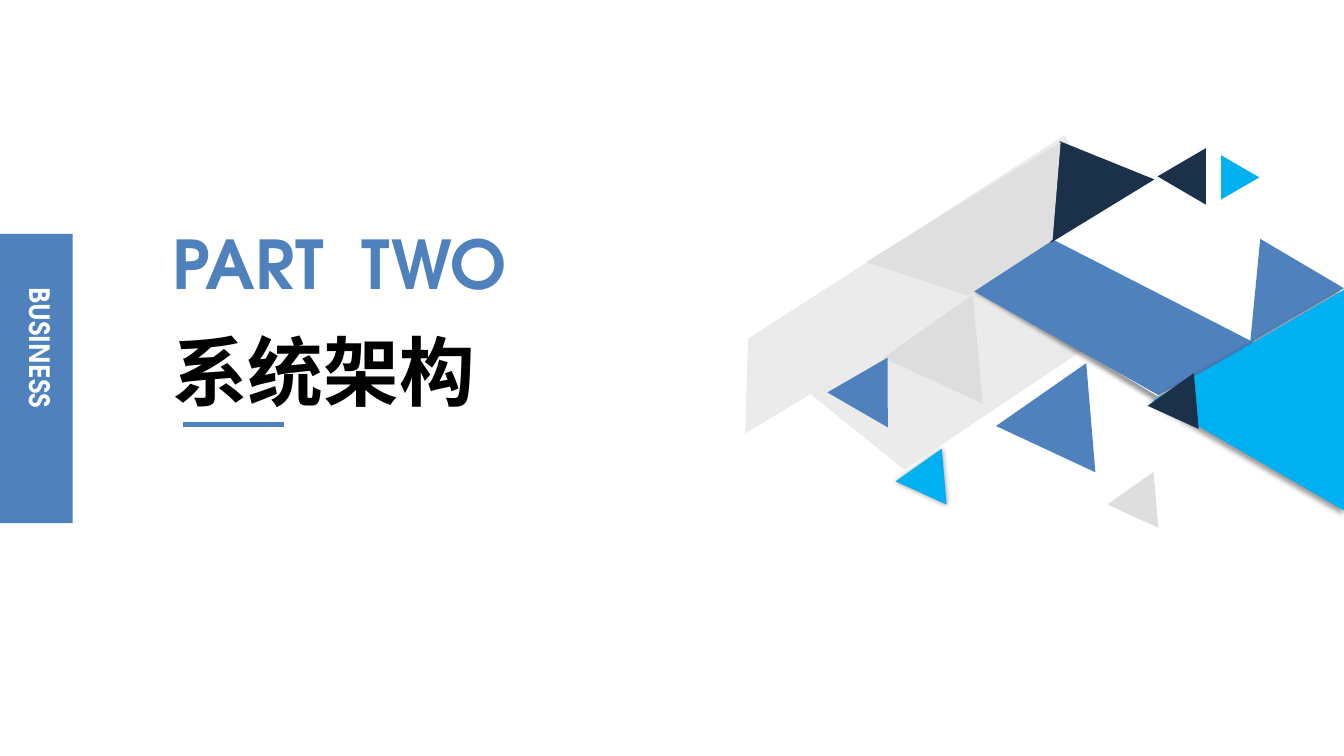
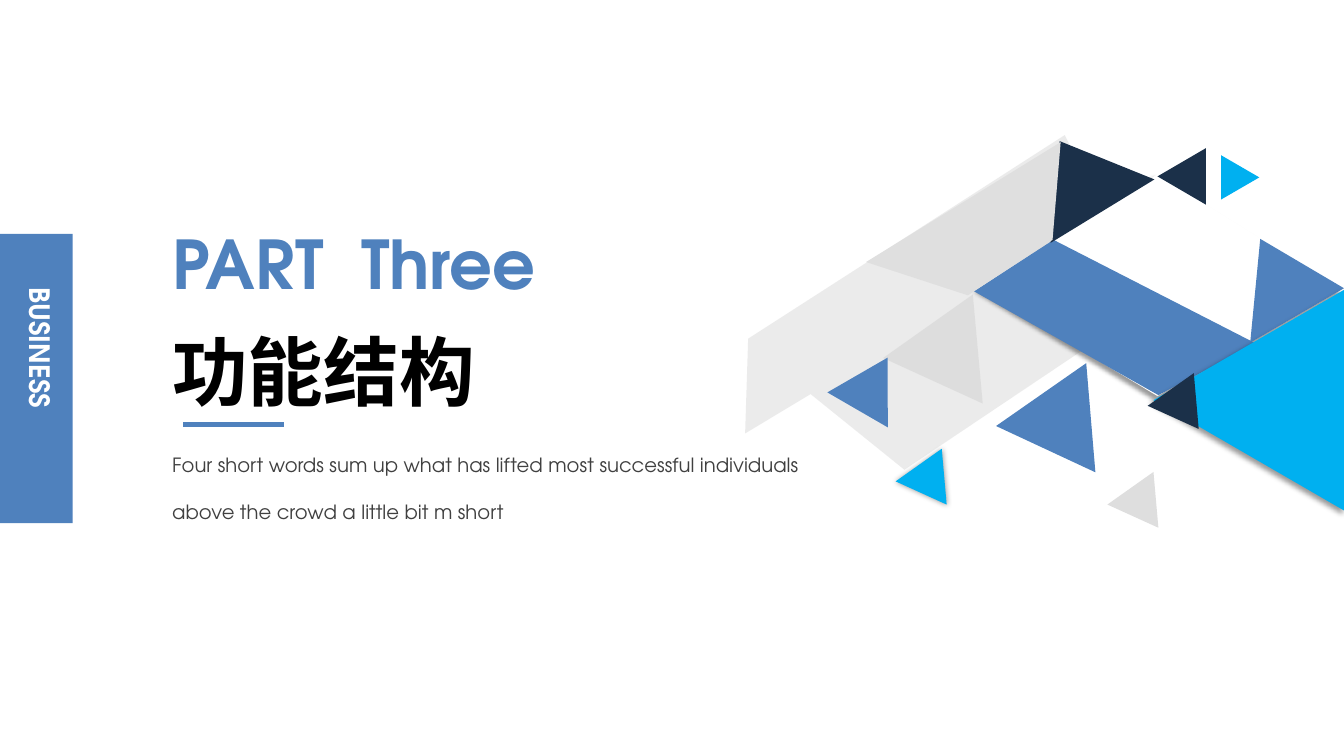
from lxml import etree
from pptx import Presentation
from pptx.dml.color import RGBColor
from pptx.enum.shapes import MSO_CONNECTOR, MSO_SHAPE
from pptx.enum.text import MSO_AUTO_SIZE, PP_ALIGN
from pptx.oxml.ns import qn
from pptx.util import Inches, Pt

RECT, TRIANGLE = MSO_SHAPE.RECTANGLE, MSO_SHAPE.ISOSCELES_TRIANGLE
STRAIGHT = MSO_CONNECTOR.STRAIGHT
GROW = MSO_AUTO_SIZE.SHAPE_TO_FIT_TEXT
JUSTIFY = PP_ALIGN.JUSTIFY

COLORS = {
    "blue": "4F81BD", "sky": "00B0F0", "navy": "1B3049", "white": "FFFFFF",
    "black": "000000", "text": "404040", "pale": "DFDFDF", "gray": "D9D9D9",
    "silver": "DEDEDE",
}
LATIN, HAN = "TeX Gyre Adventor", "Noto Sans CJK SC"

SECTIONS = [
    {"part": "PART  TWO", "title": "系统架构"},
    {"part": "PART  Three", "title": "功能结构",
     "note": "Four short words sum up what has lifted most successful "
             "individuals above the crowd a little bit m short"},
]

# Field: box, font, size, colour, bold, line spacing
FIELDS = {
    "part": ((1.61, 2.16, 4.75, 0.91), LATIN, 48, "blue", True, None),
    "title": ((1.61, 3.17, 4.75, 1.01), HAN, 54, "black", True, None),
    "note": ((1.61, 4.21, 6.57, 0.97), LATIN, 14, "text", False, 2),
}

# Shadows: blur and distance in points, direction in degrees
GLOW, EDGE, DROP = (4, 0, 50), (3, 3, 135), (4, 3, 135)

# Back to front. Polygon: corners. Triangle: box and turn in degrees.
# Both go on with colour, opacity in percent and shadow.
ART = [
    ("poly", [(8.97, 4.66), (8.04, 3.91), (7.39, 4.3), (7.42, 3.36),
              (10.56, 1.34), (11.4, 3.03)], "pale", 60, None),
    ("tri", (8.93, 3.15, 1.09, 0.94), 144.7, "gray", 73, None),
    ("tri", (8.97, 4.57, 0.56, 0.48), 144.7, "sky", 100, GLOW),
    ("tri", (11.07, 4.8, 0.56, 0.48), 144.7, "silver", 100, None),
    ("poly", [(9.7, 2.86), (11.48, 1.73), (13.31, 2.87), (11.48, 3.93)],
     "white", 100, EDGE),
    ("poly", [(11.49, 3.92), (9.66, 2.89), (10.45, 2.38), (12.46, 3.41)],
     "blue", 100, None),
    ("poly", [(12.4, 3.4), (12.5, 2.37), (13.33, 2.86)], "blue", 100, None),
    ("tri", (11.29, 3.02, 2.2, 1.9), 270, "sky", 100, DROP),
    ("tri", (11.47, 3.82, 0.56, 0.48), 144.7, "navy", 100, None),
    ("tri", (11.44, 1.51, 0.56, 0.48), 270, "navy", 100, None),
    ("tri", (12.08, 1.57, 0.44, 0.38), 90, "sky", 100, None),
    ("poly", [(10.42, 2.41), (10.51, 1.4), (11.45, 1.78)], "navy", 100, None),
    ("poly", [(10.52, 1.41), (10.44, 2.38), (9.6, 2.93), (8.59, 2.6)],
     "pale", 100, None),
    ("tri", (10.05, 3.83, 1.09, 0.94), 145.1, "blue", 100, None),
    ("tri", (8.31, 3.68, 0.69, 0.6), 150, "blue", 100, None),
]


def rgb(name):
    return RGBColor.from_string(COLORS[name])


def inches(nums):
    return [Inches(n) for n in nums]


def set_alpha(color, percent):
    etree.SubElement(color, qn("a:alpha"), val=str(percent * 1000))


def add_shadow(shape, blur, dist, angle):
    effects = shape.element.spPr.find(qn("a:effectLst"))
    outer = etree.SubElement(
        effects, qn("a:outerShdw"), blurRad=str(Pt(blur)), dist=str(Pt(dist)),
        dir=str(angle * 60000), algn="ctr", rotWithShape="0")
    color = etree.SubElement(outer, qn("a:srgbClr"), val=COLORS["black"])
    set_alpha(color, 40)


def paint(shape, color, alpha=100, shadow=None):
    shape.fill.solid()
    shape.fill.fore_color.rgb = rgb(color)
    shape.line.fill.background()
    shape.shadow.inherit = False
    if alpha < 100:
        fill = shape.element.spPr.find(qn("a:solidFill"))
        set_alpha(fill[0], alpha)
    if shadow:
        add_shadow(shape, *shadow)


def add_poly(slide, points, *style):
    start, *rest = [inches(point) for point in points]
    path = slide.shapes.build_freeform(*start)
    path.add_line_segments(rest, close=True)
    paint(path.convert_to_shape(), *style)


def add_tri(slide, box, turn, *style):
    shape = slide.shapes.add_shape(TRIANGLE, *inches(box))
    shape.rotation = turn
    paint(shape, *style)


def add_text(slide, text, box, face, size, color, bold, spacing=None):
    frame = slide.shapes.add_textbox(*inches(box)).text_frame
    frame.word_wrap = True
    frame.auto_size = GROW
    para = frame.paragraphs[0]
    para.line_spacing = spacing
    run = para.add_run()
    run.text = text
    font = run.font
    font.name, font.size, font.bold = face, Pt(size), bold
    font.color.rgb = rgb(color)
    props = run._r.get_or_add_rPr()
    etree.SubElement(props, qn("a:ea"), typeface=face)
    return frame


def add_band(slide):
    band = slide.shapes.add_shape(RECT, *inches((0, 2.32, 0.72, 2.87)))
    paint(band, "blue")
    frame = add_text(slide, "BUSINESS", (0.08, 2.75, 0.54, 2.14),
                     LATIN, 20, "white", True)
    frame.paragraphs[0].alignment = JUSTIFY
    frame._txBody.bodyPr.set("vert", "eaVert")


def add_rule(slide):
    """Draw the short line under the title."""
    rule = slide.shapes.add_connector(
        STRAIGHT, *inches((1.82, 4.21, 2.82, 4.21)))
    rule.line.color.rgb = rgb("blue")
    rule.line.width = Pt(3.25)
    etree.SubElement(rule.element.spPr, qn("a:effectLst"))


def add_art(slide):
    draw = {"poly": add_poly, "tri": add_tri}
    for kind, *args in ART:
        draw[kind](slide, *args)


def main():
    deck = Presentation()
    deck.slide_width, deck.slide_height = Inches(13.33), Inches(7.5)
    for section in SECTIONS:
        slide = deck.slides.add_slide(deck.slide_layouts[6])
        add_band(slide)
        for field, text in section.items():
            add_text(slide, text, *FIELDS[field])
        add_rule(slide)
        add_art(slide)
    deck.save("out.pptx")


if __name__ == "__main__":
    main()
